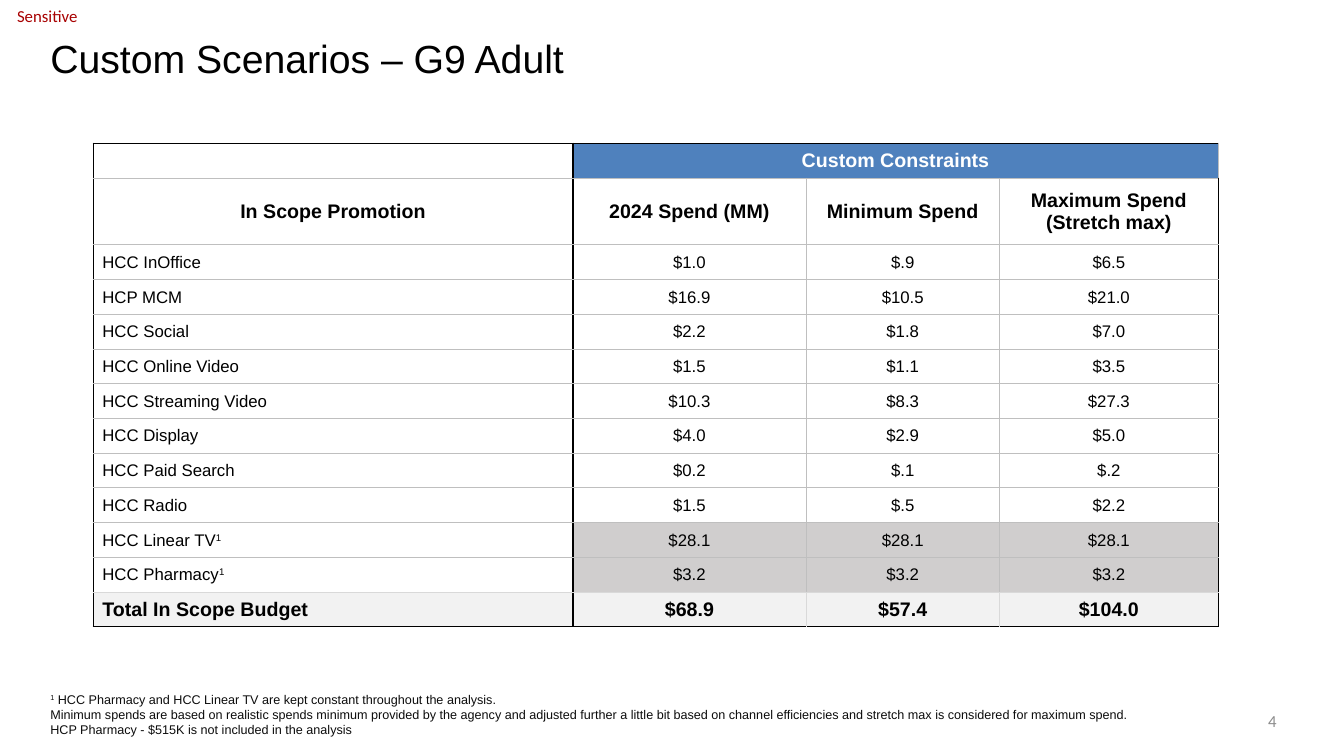
import lxml.etree
import pptx
import pptx.dml.color
import pptx.enum.text
import pptx.oxml.ns
import pptx.util

Cm = pptx.util.Cm
Pt = pptx.util.Pt
ALIGN = pptx.enum.text.PP_ALIGN
MIDDLE = pptx.enum.text.MSO_ANCHOR.MIDDLE
TOP = pptx.enum.text.MSO_ANCHOR.TOP
qn = pptx.oxml.ns.qn

COLORS = {
    "black": "000000", "white": "FFFFFF", "red": "A80000", "ink": "0D0D0D",
    "number": "8C8C8C", "blue": "4F81BD", "constant": "D0CECE",
    "total": "F2F2F2", "grid": "BFBFBF", "total_grid": "D9D9D9",
}
COLUMN_WIDTHS = [12.09, 5.87, 4.88, 5.51]
HEADER_HEIGHT = 1.68
ROWS = [
    ["", "Custom Constraints", "", ""],
    ["In Scope Promotion", "2024 Spend (MM)", "Minimum Spend", "Maximum Spend\n(Stretch max)"],
    ["HCC InOffice", "$1.0", "$.9", "$6.5"],
    ["HCP MCM", "$16.9", "$10.5", "$21.0"],
    ["HCC Social", "$2.2", "$1.8", "$7.0"],
    ["HCC Online Video", "$1.5", "$1.1", "$3.5"],
    ["HCC Streaming Video", "$10.3", "$8.3", "$27.3"],
    ["HCC Display", "$4.0", "$2.9", "$5.0"],
    ["HCC Paid Search", "$0.2", "$.1", "$.2"],
    ["HCC Radio", "$1.5", "$.5", "$2.2"],
    ["HCC Linear TV^1^", "$28.1", "$28.1", "$28.1"],
    ["HCC Pharmacy^1^", "$3.2", "$3.2", "$3.2"],
    ["Total In Scope Budget", "$68.9", "$57.4", "$104.0"],
]
LAST = len(ROWS) - 1
FOOTNOTES = (
    "^1^ HCC Pharmacy and HCC Linear TV are kept constant throughout the analysis.\n"
    "Minimum spends are based on realistic spends minimum provided by the agency and "
    "adjusted further a little bit based on channel efficiencies and stretch max is "
    "considered for maximum spend.\n"
    "HCP Pharmacy - $515K is not included in the analysis"
)


def rgb(name):
    return pptx.dml.color.RGBColor.from_string(COLORS[name])


def write(tf, text, size=12, color="black", font="Arial", bold=False,
          align=ALIGN.LEFT, spacing=None):
    for i, line in enumerate(text.split("\n")):
        p = tf.add_paragraph() if i else tf.paragraphs[0]
        p.alignment = align
        if spacing:
            p.line_spacing = spacing
        for j, part in enumerate(line.split("^")):
            if not part:
                continue
            r = p.add_run()
            r.text = part
            r.font.size = Pt(size)
            r.font.name = font
            r.font.bold = bold
            r.font.color.rgb = rgb(color)
            if j % 2:
                r.font._element.set("baseline", "30000")


def add_text(s, box, text, anchor=MIDDLE, inset=0.25, **fmt):
    tf = s.shapes.add_textbox(*map(Cm, box)).text_frame
    tf.word_wrap = True
    tf.vertical_anchor = anchor
    tf.margin_left = tf.margin_right = Cm(inset)
    write(tf, text, **fmt)


def set_borders(cell, row, col):
    grid = ("total_grid" if row == LAST else "grid", 0.5)
    frame = ("black", 1)
    borders = [
        ("a:lnL", frame if col < 2 else grid),
        ("a:lnR", frame if col in (0, 3) else grid),
        ("a:lnT", frame if row == 0 else grid),
        ("a:lnB", frame if row == LAST else
         ("total_grid", 0.5) if row == LAST - 1 else grid),
    ]
    tcPr = cell._tc.get_or_add_tcPr()
    for i, (tag, (color, width)) in enumerate(borders):
        ln = lxml.etree.Element(qn(tag), w=str(Pt(width)))
        fill = lxml.etree.SubElement(ln, qn("a:solidFill"))
        lxml.etree.SubElement(fill, qn("a:srgbClr"), val=COLORS[color])
        tcPr.insert(i, ln)


def cell_fill(row, col):
    if row == LAST:
        return "total"
    if col and row == 0:
        return "blue"
    if col and row >= LAST - 2:
        return "constant"
    return None


def add_spend_table(s, box):
    table = s.shapes.add_table(len(ROWS), len(COLUMN_WIDTHS), *map(Cm, box)).table
    table.first_row = table.horz_banding = False
    for column, width in zip(table.columns, COLUMN_WIDTHS):
        column.width = Cm(width)
    row_height = (box[3] - HEADER_HEIGHT) / LAST
    for row, values in enumerate(ROWS):
        table.rows[row].height = Cm(HEADER_HEIGHT if row == 1 else row_height)
        strong = row in (0, 1, LAST)
        for col, text in enumerate(values):
            cell = table.cell(row, col)
            label = col == 0 and row > 1
            cell.vertical_anchor = MIDDLE
            cell.margin_left = Cm(0.23 if label else 0.02)
            cell.margin_right = cell.margin_top = Cm(0.02)
            cell.margin_bottom = 0
            write(cell.text_frame, text, size=14 if strong else 12, bold=strong,
                  color="black" if row else "white",
                  align=ALIGN.LEFT if label else ALIGN.CENTER)
            fill = cell_fill(row, col)
            if fill:
                cell.fill.solid()
                cell.fill.fore_color.rgb = rgb(fill)
            else:
                cell.fill.background()
            set_borders(cell, row, col)
    table.cell(0, 1).merge(table.cell(0, 3))


def add_header(s, box):
    x, y, w, h = box
    add_text(s, (x, y, 2.39, 0.81), "Sensitive", inset=0.43, color="red", font="Calibri")
    add_text(s, (x + 1.02, y + 1.02, w - 3.38, h - 1.02), "Custom Scenarios – G9 Adult",
             size=28, spacing=0.9)


def add_footer(s, box):
    x, y, w, h = box
    add_text(s, (x + w - 6.7, y + 0.36, 7.62, 1.02), "4", color="number",
             font="Calibri", align=ALIGN.RIGHT)
    add_text(s, (x, y, w, h), FOOTNOTES, anchor=TOP, size=9, color="ink")


def main():
    prs = pptx.Presentation()
    prs.slide_width, prs.slide_height = Cm(33.87), Cm(19.05)
    s = prs.slides.add_slide(prs.slide_layouts[6])
    add_header(s, (0, 0, 33.87, 2.03))
    add_footer(s, (1.02, 17.3, 30.48, 1.8))
    add_spend_table(s, (2.35, 3.61, sum(COLUMN_WIDTHS), 12.19))
    prs.save("out.pptx")


if __name__ == "__main__":
    main()
